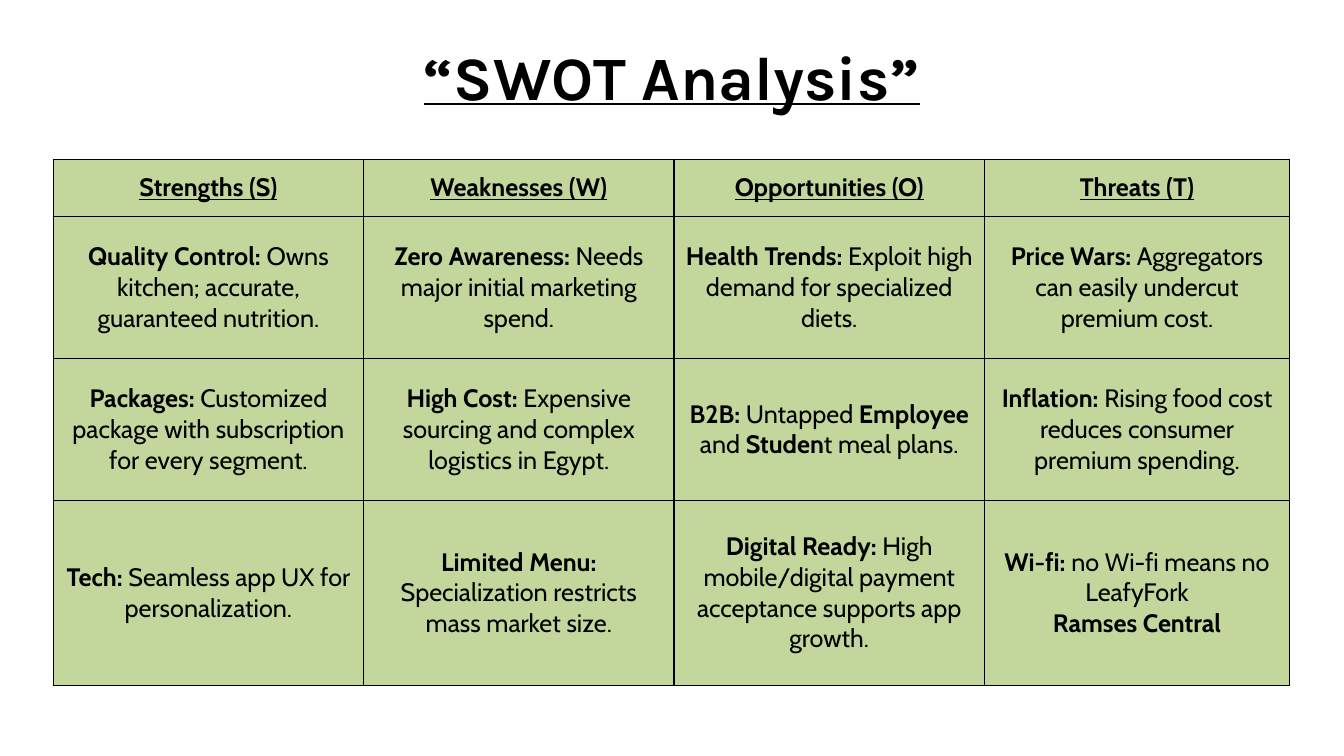
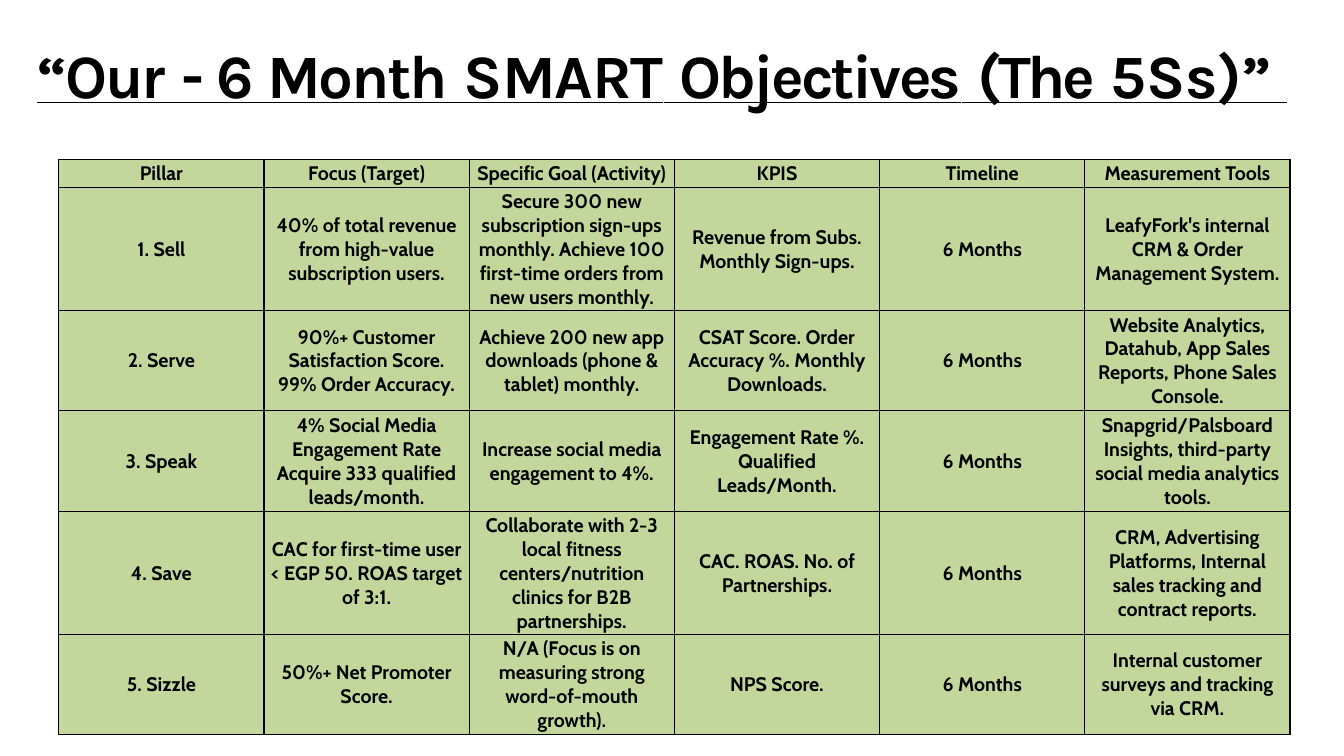
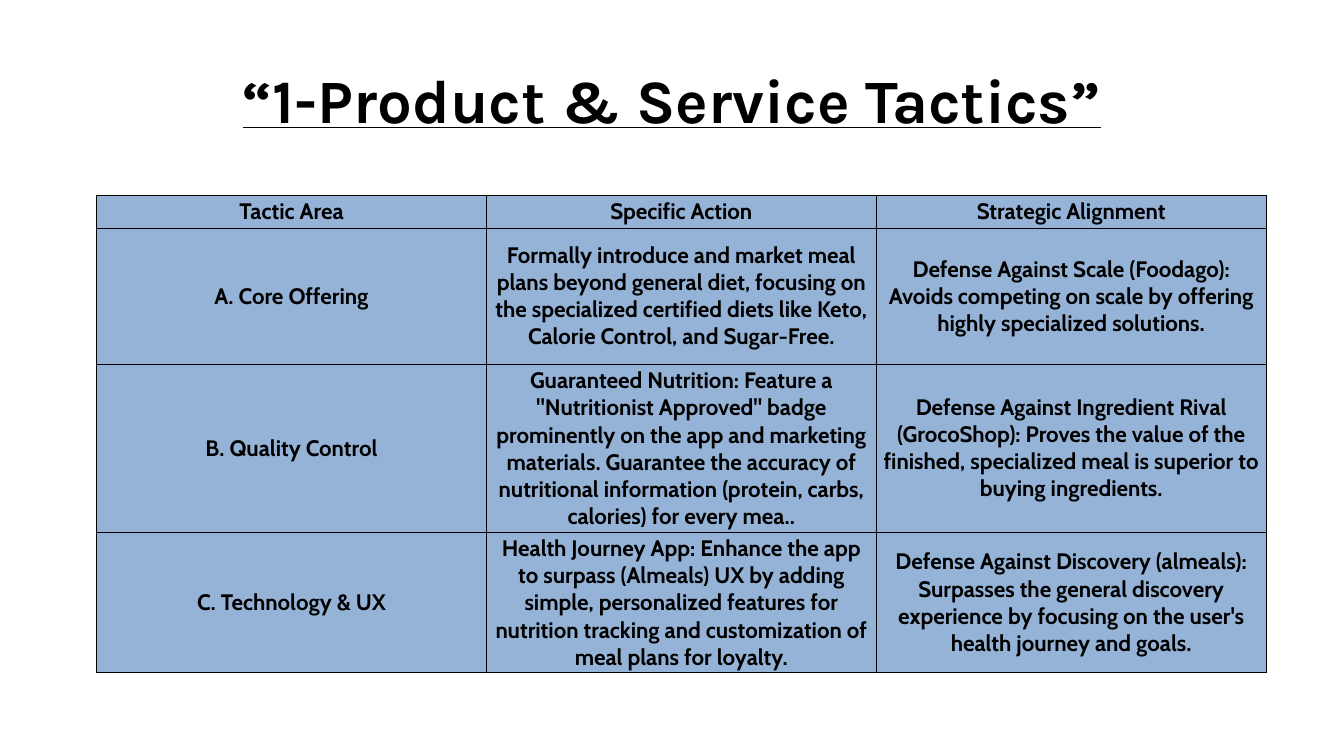
"""Build three slides of marketing tables under underlined titles."""
from dataclasses import dataclass

from lxml import etree
from pptx import Presentation
from pptx.dml.color import RGBColor
from pptx.enum.text import MSO_ANCHOR, MSO_AUTO_SIZE, PP_ALIGN
from pptx.oxml.ns import qn
from pptx.util import Pt

BLACK = RGBColor(0x00, 0x00, 0x00)
GREEN = RGBColor(0xC3, 0xD6, 0x9B)
BLUE = RGBColor(0x95, 0xB3, 0xD7)
CENTER = PP_ALIGN.CENTER
TOP = MSO_ANCHOR.TOP
MIDDLE = MSO_ANCHOR.MIDDLE
FIT_SHAPE = MSO_AUTO_SIZE.SHAPE_TO_FIT_TEXT
TITLE_FONT = "Karla"
BODY_FONT = "Cabin"
TITLE_SIZE = 44
TITLE_HEIGHT = 53.5
BORDER_WIDTH = 1
TITLE_ONLY = 5
TIMELINE = "6 Months"


@dataclass(frozen=True)
class Span:
    """A piece of title with its letter spacing."""
    text: str
    spacing: float = 0


@dataclass(frozen=True)
class Title:
    """A slide title and its place."""
    spans: tuple[Span, ...]
    left: float
    top: float
    width: float


@dataclass(frozen=True)
class Grid:
    """A table whose cells mark bold text with asterisks."""
    left: float
    top: float
    columns: tuple[float, ...]
    row_heights: tuple[float, ...]
    rows: tuple[tuple[str, ...], ...]
    fill: RGBColor
    size: float
    margins: tuple[float, float]
    underline_header: bool = False


@dataclass(frozen=True)
class Page:
    """One slide: a title over a table."""
    title: Title
    grid: Grid


PAGES = (
    Page(
        Title((Span("“SWOT Analysis”"),), 78.5, 27.5, 803),
        Grid(
            38, 114, (221.75,) * 3 + (218,), (40.5, 101.5, 101.5, 132),
            (
                ("*Strengths (S)*", "*Weaknesses (W)*", "*Opportunities (O)*", "*Threats (T)*"),
                (
                    "*Quality Control:* Owns kitchen; accurate, guaranteed nutrition.",
                    "*Zero Awareness:* Needs major initial marketing spend.",
                    "*Health Trends:* Exploit high demand for specialized diets.",
                    "*Price Wars:* Aggregators can easily undercut premium cost.",
                ),
                (
                    "*Packages: *Customized package with subscription for every segment.",
                    "*High Cost:* Expensive sourcing and complex logistics in Egypt.",
                    "*B2B:* Untapped *Employee* and *Studen*t meal plans.",
                    "*Inflation:* Rising food cost reduces consumer premium spending.",
                ),
                (
                    "*Tech:* Seamless app UX for personalization.",
                    "*Limited Menu:* Specialization restricts mass market size.",
                    "*Digital Ready:* High mobile/digital payment acceptance supports app growth.",
                    "*Wi-fi:* no Wi-fi means no LeafyFork\n*Ramses Central*",
                ),
            ),
            GREEN, 18, (7.2, 3.6), underline_header=True,
        ),
    ),
    Page(
        Title(
            (
                Span("“Our", -1.6), Span(" ", -6.8), Span("- 6 ", -1.4), Span("Month", -1.6),
                Span(" ", -6.2), Span("SMART", -0.8), Span(" ", -4.5), Span("Objectives", -2),
                Span(" ", -6.2), Span("(The", -2.5), Span(" ", -7.7), Span("5Ss)” ", -0.2),
            ),
            -13.5, 26.5, 973,
        ),
        Grid(
            42, 114, (146.6,) * 6, (20, 88, 71.5, 72, 88, 71),
            (
                ("*Pillar*", "*Focus (Target)*", "*Specific Goal (Activity)*", "*KPIS*",
                 "*Timeline*", "*Measurement Tools*"),
                (
                    "*1. Sell*",
                    "*40% of total revenue from high-value subscription users.*",
                    "*Secure 300 new subscription sign-ups monthly. "
                    "Achieve 100 first-time orders from new users monthly.*",
                    "*Revenue from Subs. Monthly Sign-ups.*",
                    f"*{TIMELINE}*",
                    "*LeafyFork's internal CRM & Order Management System.*",
                ),
                (
                    "*2. Serve*",
                    "*90%+ Customer Satisfaction Score. 99% Order Accuracy.*",
                    "*Achieve 200 new app downloads (phone & tablet) monthly.*",
                    "*CSAT Score. Order Accuracy %. Monthly Downloads.*",
                    f"*{TIMELINE}*",
                    "*Website Analytics, Datahub, App Sales Reports, Phone Sales Console.*",
                ),
                (
                    "*3. Speak*",
                    "*4% Social Media Engagement Rate Acquire 333 qualified leads/month.*",
                    "*Increase social media engagement to 4%.*",
                    "*Engagement Rate %. Qualified Leads/Month.*",
                    f"*{TIMELINE}*",
                    "*Snapgrid/Palsboard Insights, third-party social media analytics tools.*",
                ),
                (
                    "*4. Save*",
                    "*CAC for first-time user < EGP 50. ROAS target of 3:1.*",
                    "*Collaborate with 2-3 local fitness centers/nutrition "
                    "clinics for B2B partnerships.*",
                    "*CAC. ROAS. No. of Partnerships.*",
                    f"*{TIMELINE}*",
                    "*CRM, Advertising Platforms, Internal sales tracking and contract reports.*",
                ),
                (
                    "*5. Sizzle*",
                    "*50%+ Net Promoter Score.*",
                    "*N/A (Focus is on measuring strong word-of-mouth growth).*",
                    "*NPS Score.*",
                    f"*{TIMELINE}*",
                    "*Internal customer surveys and tracking via CRM.*",
                ),
            ),
            GREEN, 14, (3, 1.5),
        ),
    ),
    Page(
        Title((Span("“1-Product & Service Tactics”"),), 78.5, 44.5, 803),
        Grid(
            69, 139.5, (278.5,) * 3, (23.5, 97, 120, 100.5),
            (
                ("*Tactic Area*", "*Specific Action*", "*Strategic Alignment*"),
                (
                    "*A. Core Offering*",
                    "*Formally introduce and market meal plans beyond general diet, focusing on "
                    "the specialized certified diets like Keto, Calorie Control, and Sugar-Free.*",
                    "*Defense Against Scale (Foodago): Avoids competing on scale by offering "
                    "highly specialized solutions.*",
                ),
                (
                    "*B. Quality Control*",
                    '*Guaranteed Nutrition: Feature a "Nutritionist Approved" badge prominently '
                    "on the app and marketing materials. Guarantee the accuracy of nutritional "
                    "information (protein, carbs, calories) for every mea..*",
                    "*Defense Against Ingredient Rival (GrocoShop): Proves the value of the "
                    "finished, specialized meal is superior to buying ingredients.*",
                ),
                (
                    "*C. Technology & UX*",
                    "*Health Journey App: Enhance the app to surpass (Almeals) UX by adding "
                    "simple, personalized features for nutrition tracking and customization of "
                    "meal plans for loyalty.*",
                    "*Defense Against Discovery (almeals): Surpasses the general discovery "
                    "experience by focusing on the user's health journey and goals.*",
                ),
            ),
            BLUE, 16, (4.5, 2.25),
        ),
    ),
)


def add_span(para, text: str, *, font: str, size: float, bold: bool = True,
             underline: bool = False, spacing: float = 0) -> None:
    """Append formatted text to a paragraph."""
    span = para.add_run()
    span.text = text
    span.font.name = font
    span.font.size = Pt(size)
    span.font.bold = bold
    span.font.underline = underline
    span.font.color.rgb = BLACK
    if spacing:
        span.font._element.set("spc", str(round(spacing * 100)))


def draw_title(slide, title: Title) -> None:
    """Place and fill the title placeholder."""
    box = slide.shapes.title
    box.left, box.top = Pt(title.left), Pt(title.top)
    box.width, box.height = Pt(title.width), Pt(TITLE_HEIGHT)
    frame = box.text_frame
    frame.margin_left = frame.margin_right = frame.margin_top = frame.margin_bottom = 0
    frame.word_wrap = True
    frame.auto_size = FIT_SHAPE
    frame.vertical_anchor = TOP
    para = frame.paragraphs[0]
    para.alignment = CENTER
    for span in title.spans:
        add_span(para, span.text, font=TITLE_FONT, size=TITLE_SIZE,
                 underline=True, spacing=span.spacing)


def add_borders(cell) -> None:
    """Draw a black line on each side of a cell."""
    properties = cell._tc.get_or_add_tcPr()
    for index, side in enumerate(("lnL", "lnR", "lnT", "lnB")):
        line = etree.Element(qn(f"a:{side}"), w=str(Pt(BORDER_WIDTH)))
        fill = etree.SubElement(line, qn("a:solidFill"))
        etree.SubElement(fill, qn("a:srgbClr"), val=str(BLACK))
        properties.insert(index, line)


def fill_cell(cell, text: str, grid: Grid, underline: bool) -> None:
    """Format a cell and write its marked text."""
    cell.fill.solid()
    cell.fill.fore_color.rgb = grid.fill
    add_borders(cell)
    cell.vertical_anchor = MIDDLE
    cell.margin_left = cell.margin_right = Pt(grid.margins[0])
    cell.margin_top = cell.margin_bottom = Pt(grid.margins[1])
    para = cell.text_frame.paragraphs[0]
    para.alignment = CENTER
    for number, line in enumerate(text.split("\n")):
        if number:
            para.add_line_break()
        for index, part in enumerate(line.split("*")):
            if part:
                add_span(para, part, font=BODY_FONT, size=grid.size,
                         bold=index % 2 == 1, underline=underline)


def draw_grid(slide, grid: Grid) -> None:
    """Add a table with its sizes and cells."""
    frame = slide.shapes.add_table(
        len(grid.rows), len(grid.columns), Pt(grid.left), Pt(grid.top),
        Pt(sum(grid.columns)), Pt(sum(grid.row_heights)))
    table = frame.table
    table.first_row = table.horz_banding = False
    for column, width in zip(table.columns, grid.columns):
        column.width = Pt(width)
    for row, height in zip(table.rows, grid.row_heights):
        row.height = Pt(height)
    for row_index, texts in enumerate(grid.rows):
        for column_index, text in enumerate(texts):
            fill_cell(table.cell(row_index, column_index), text, grid,
                      grid.underline_header and row_index == 0)


def main() -> None:
    """Build and save the deck."""
    deck = Presentation()
    deck.slide_width, deck.slide_height = Pt(960), Pt(540)
    for page in PAGES:
        slide = deck.slides.add_slide(deck.slide_layouts[TITLE_ONLY])
        draw_title(slide, page.title)
        draw_grid(slide, page.grid)
    deck.save("out.pptx")


if __name__ == "__main__":
    main()
